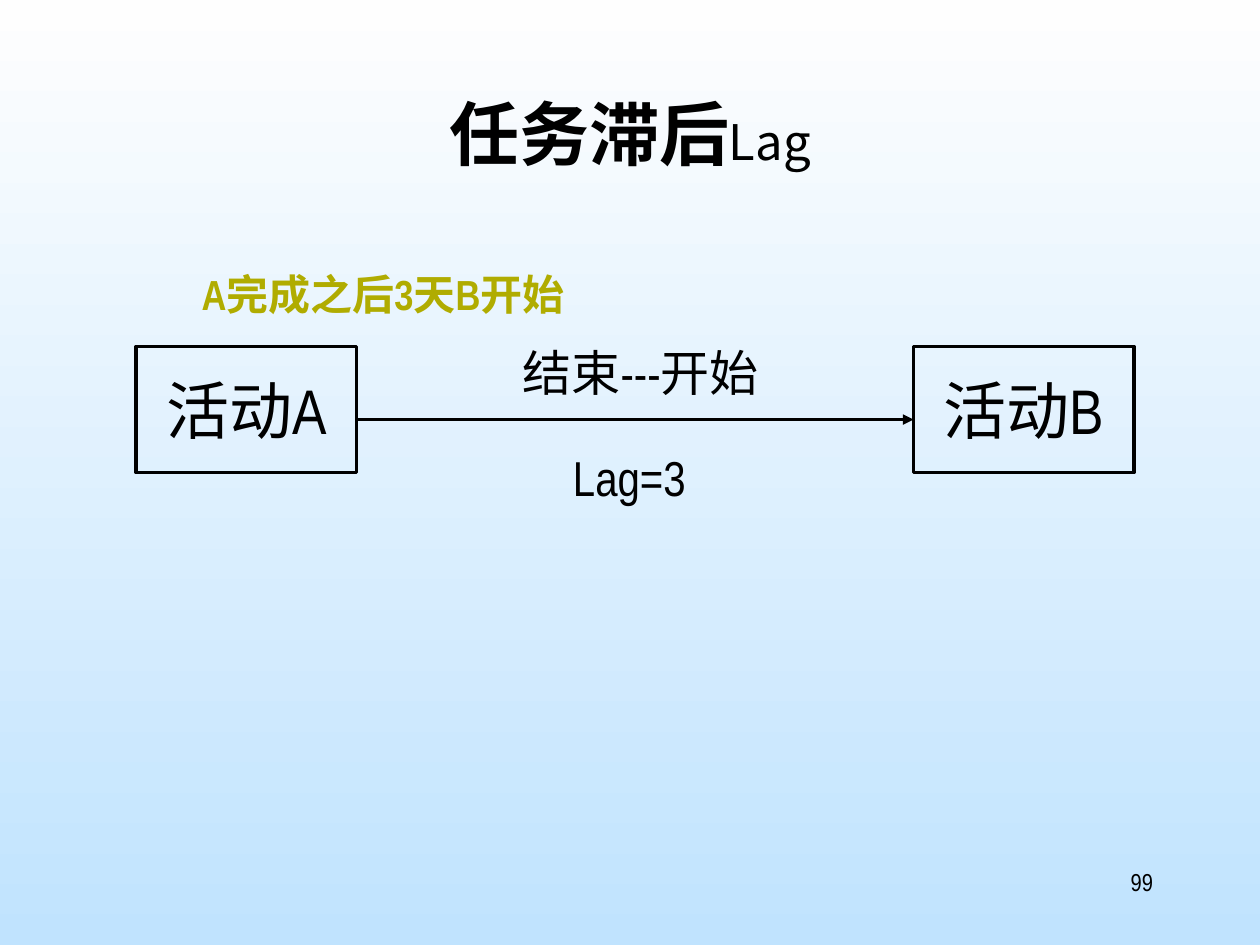
"""Build the slide on task lag between two activities."""
import lxml.etree
import pptx
import pptx.dml.color
import pptx.enum.shapes
import pptx.enum.text
import pptx.oxml.ns
import pptx.util

Inches = pptx.util.Inches
ALIGN = pptx.enum.text.PP_ALIGN
ANCHOR = pptx.enum.text.MSO_ANCHOR

THEME = {
    "ink": "000000", "accent": "B0AC00", "gradient": ("FEFEFE", "C0E3FE"),
    "latin": "Arial Narrow", "cjk": "Noto Sans CJK SC",
    "title": 40, "subtitle": 28, "activity": 36, "label": 28, "note": 24, "number": 14,
    "line": 2,
}

TITLE_RUNS = [
    ("任务滞后", {"size": THEME["title"], "bold": True, "name": THEME["cjk"]}),
    ("Lag", {"size": THEME["subtitle"], "name": THEME["cjk"]}),
]
LABEL = {"size": THEME["label"]}
NOTE = {"size": THEME["note"], "bold": True, "color": THEME["accent"]}
TEXTS = [
    (TITLE_RUNS, (0.75, 0.67, 8.5, 1.25), ALIGN.CENTER),
    ([("结束---开始", LABEL)], (3.42, 2.67, 3.33, 0.57), ALIGN.CENTER),
    ([("Lag=3", LABEL)], (3.33, 3.5, 3.33, 0.57), ALIGN.CENTER),
    ([("A完成之后3天B开始", NOTE)], (0.75, 2.08, 4.58, 0.5), ALIGN.CENTER),
    ([("99", {"size": THEME["number"]})], (7.17, 6.83, 2.08, 0.5), ALIGN.RIGHT),
]
ACTIVITIES = [("活动A", 1.08), ("活动B", 7.25)]
ACTIVITY_TOP, ACTIVITY_WIDTH, ACTIVITY_HEIGHT = 2.75, 1.75, 1
ARROW_Y = 3.33


def rgb(value):
    return pptx.dml.color.RGBColor.from_string(value)


def add_child(parent, tag, **attributes):
    return lxml.etree.SubElement(parent, pptx.oxml.ns.qn(tag), attributes)


def write_runs(shape, runs, alignment):
    paragraph = shape.text_frame.paragraphs[0]
    paragraph.alignment = alignment
    for text, changes in runs:
        values = {"name": THEME["latin"], "bold": False, "color": THEME["ink"], **changes}
        values["size"] = pptx.util.Pt(values["size"])
        run = paragraph.add_run()
        run.text = text
        run.font.color.rgb = rgb(values.pop("color"))
        for attribute, value in values.items():
            setattr(run.font, attribute, value)
        add_child(run.font._element, "a:ea", typeface=THEME["cjk"])


def style_line(line):
    line.color.rgb = rgb(THEME["ink"])
    line.width = pptx.util.Pt(THEME["line"])


def add_text(slide, runs, box, alignment):
    shape = slide.shapes.add_textbox(*map(Inches, box))
    shape.text_frame.word_wrap = True
    write_runs(shape, runs, alignment)


def add_activity(slide, text, left):
    box = (left, ACTIVITY_TOP, ACTIVITY_WIDTH, ACTIVITY_HEIGHT)
    shape = slide.shapes.add_shape(
        pptx.enum.shapes.MSO_SHAPE.RECTANGLE, *map(Inches, box))
    shape.shadow.inherit = False
    shape.fill.background()
    style_line(shape.line)
    for attribute, value in {"word_wrap": False, "vertical_anchor": ANCHOR.MIDDLE}.items():
        setattr(shape.text_frame, attribute, value)
    write_runs(shape, [(text, {"size": THEME["activity"]})], ALIGN.CENTER)


def add_arrow(slide, start, end):
    ends = (start, ARROW_Y, end, ARROW_Y)
    arrow = slide.shapes.add_connector(
        pptx.enum.shapes.MSO_CONNECTOR.STRAIGHT, *map(Inches, ends))
    style_line(arrow.line)
    add_child(arrow.line._get_or_add_ln(), "a:tailEnd", type="triangle")
    add_child(arrow._element.spPr, "a:effectLst")


def main():
    presentation = pptx.Presentation()
    presentation.slide_width, presentation.slide_height = Inches(10), Inches(7.5)
    slide = presentation.slides.add_slide(presentation.slide_layouts[6])
    fill = slide.background.fill
    fill.gradient()
    fill.gradient_angle = 270
    for stop, color in zip(fill.gradient_stops, THEME["gradient"]):
        stop.color.rgb = rgb(color)
    for text, left in ACTIVITIES:
        add_activity(slide, text, left)
    (_, first_left), (_, second_left) = ACTIVITIES
    add_arrow(slide, first_left + ACTIVITY_WIDTH, second_left)
    for runs, box, alignment in TEXTS:
        add_text(slide, runs, box, alignment)
    presentation.save("out.pptx")


if __name__ == "__main__":
    main()
